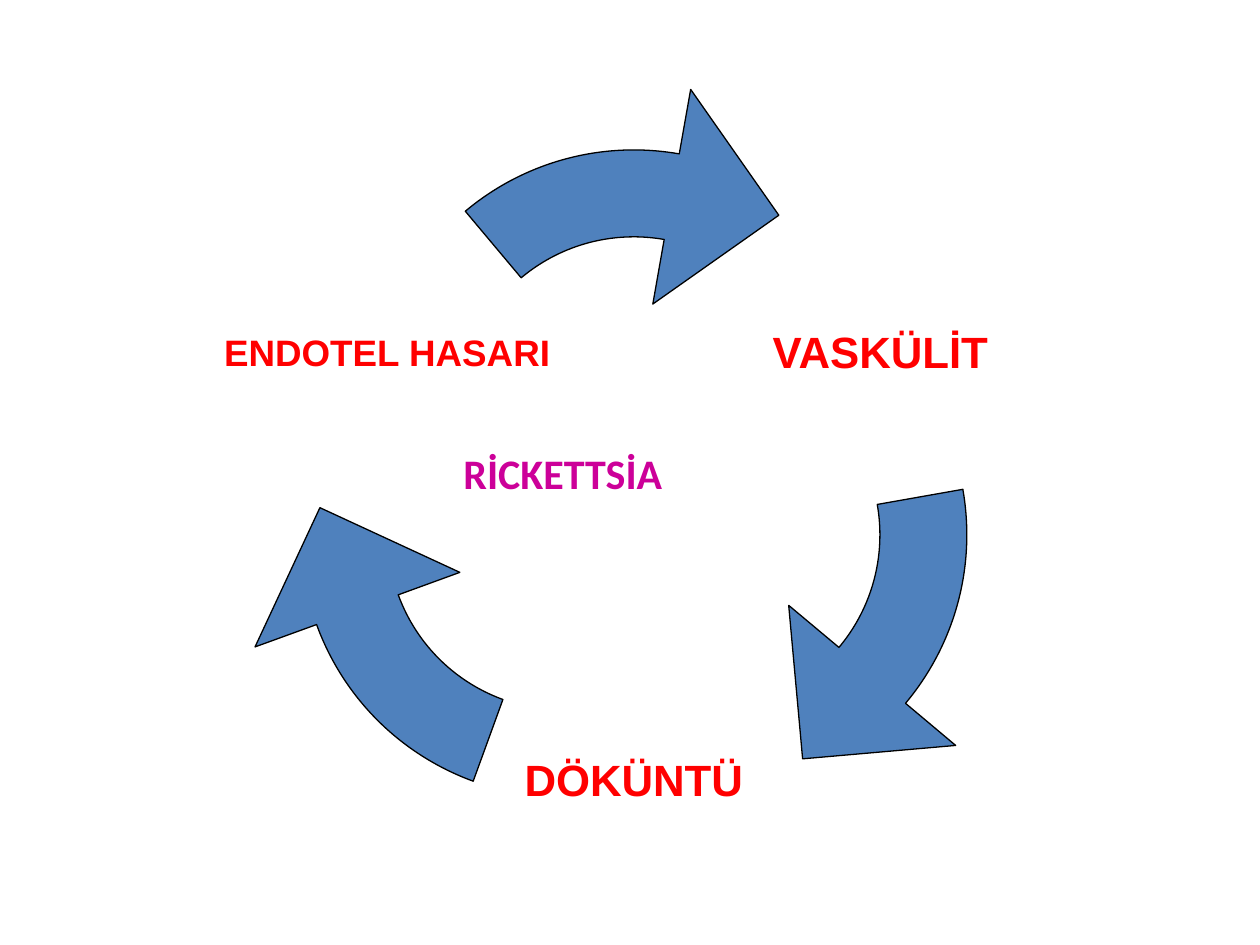
from dataclasses import dataclass
from math import cos, radians, sin

from lxml import etree
from pptx import Presentation
from pptx.dml.color import RGBColor
from pptx.enum.shapes import MSO_SHAPE
from pptx.enum.text import MSO_ANCHOR, PP_ALIGN
from pptx.oxml import parse_xml
from pptx.oxml.ns import nsdecls
from pptx.util import Inches, Pt

CYCLE_CENTER = (5.03, 3.92)
ARROW_OFFSET = 0.65      # from cycle centre to each arrow's arc centre
ARROW_SIZE = 4.15
LABEL_RADIUS = 2.26
LABEL_SIZE = 1.66
INNER, OUTER = 1.39, 2.08
BARB_INNER, BARB_OUTER = 0.87, 2.6
TIP_RADIUS, TIP_SWEEP = 1.94, 26.4
ARC_START, ARC_END = 230, 280

Point = tuple[float, float]


@dataclass
class Stage:
    text: str
    angle: float         # clockwise from the right
    size: float


STAGES = [
    Stage("VASKÜLİT", -30, 25),
    Stage("DÖKÜNTÜ", 90, 25),
    Stage("ENDOTEL HASARI", 210, 21),
]


def color(hex_value: str) -> RGBColor:
    return RGBColor.from_string(hex_value)


def polar(center: Point, radius: float, angle: float) -> Point:
    turn = radians(angle)
    return center[0] + radius * cos(turn), center[1] + radius * sin(turn)


def square_at(center: Point, size: float) -> dict[str, float]:
    return dict(left=center[0] - size / 2, top=center[1] - size / 2,
                width=size, height=size)


def step(tag: str, radius: float, angle: float) -> str:
    x, y = polar((ARROW_SIZE / 2, ARROW_SIZE / 2), radius, angle)
    return f'<a:{tag}><a:pt x="{Inches(x)}" y="{Inches(y)}"/></a:{tag}>'


def arc(radius: float, start: int, end: int) -> str:
    reach = Inches(radius)
    return (f'<a:arcTo wR="{reach}" hR="{reach}" stAng="{start * 60000}" '
            f'swAng="{(end - start) * 60000}"/>')


def arrow_geometry() -> etree._Element:
    """Outline of the curved arrow; preset shapes lack these proportions."""
    side = Inches(ARROW_SIZE)
    outline = "".join([
        step("moveTo", INNER, ARC_END),
        arc(INNER, ARC_END, ARC_START),
        step("lnTo", OUTER, ARC_START),
        arc(OUTER, ARC_START, ARC_END),
        step("lnTo", BARB_OUTER, ARC_END),
        step("lnTo", TIP_RADIUS, ARC_END + TIP_SWEEP),
        step("lnTo", BARB_INNER, ARC_END),
    ])
    return parse_xml(
        f'<a:custGeom {nsdecls("a")}><a:avLst/><a:gdLst/><a:ahLst/><a:cxnLst/>'
        '<a:rect l="0" t="0" r="r" b="b"/><a:pathLst>'
        f'<a:path w="{side}" h="{side}">{outline}<a:close/></a:path>'
        '</a:pathLst></a:custGeom>')


def add_box(slide, left: float, top: float, width: float, height: float):
    box = slide.shapes.add_shape(MSO_SHAPE.RECTANGLE, Inches(left), Inches(top),
                                 Inches(width), Inches(height))
    box.shadow.inherit = False
    return box


def add_arrow(slide, turn: float) -> None:
    """Draw the curved arrow, turned clockwise by the given degrees."""
    center = polar(CYCLE_CENTER, ARROW_OFFSET, turn - 90)
    arrow = add_box(slide, **square_at(center, ARROW_SIZE))
    preset = arrow.element.spPr.prstGeom
    arrow.element.spPr.replace(preset, arrow_geometry())
    arrow.rotation = turn
    arrow.fill.solid()
    arrow.fill.fore_color.rgb = color("4F81BD")
    arrow.line.color.rgb = color("000000")
    arrow.line.width = Pt(0.75)


def add_text(slide, text: str, *, left: float, top: float, width: float,
             height: float, size: float, font: str, fill: str,
             align=PP_ALIGN.LEFT, anchor=MSO_ANCHOR.TOP,
             wrap: bool = True, inset: Point = (0.1, 0.05)) -> None:
    box = add_box(slide, left, top, width, height)
    box.fill.background()
    box.line.fill.background()
    frame = box.text_frame
    frame.word_wrap = wrap
    frame.vertical_anchor = anchor
    frame.margin_left = frame.margin_right = Inches(inset[0])
    frame.margin_top = frame.margin_bottom = Inches(inset[1])
    paragraph = frame.paragraphs[0]
    paragraph.alignment = align
    run = paragraph.add_run()
    run.text = text
    run.font.name = font
    run.font.size = Pt(size)
    run.font.bold = True
    run.font.color.rgb = color(fill)


def add_stage(slide, stage: Stage) -> None:
    center = polar(CYCLE_CENTER, LABEL_RADIUS, stage.angle)
    add_text(slide, stage.text, **square_at(center, LABEL_SIZE),
             size=stage.size, font="Arial", fill="FF0000",
             align=PP_ALIGN.CENTER, anchor=MSO_ANCHOR.MIDDLE,
             wrap=False, inset=(0, 0))


def main() -> None:
    deck = Presentation()
    deck.slide_width, deck.slide_height = Inches(10), Inches(7.5)
    slide = deck.slides.add_slide(deck.slide_layouts[6])

    # Cycle arrows
    for turn in (0, 120, 240):
        add_arrow(slide, turn)

    # Stages between the arrows
    for stage in STAGES:
        add_stage(slide, stage)

    # Cause in the middle
    add_text(slide, "RİCKETTSİA", left=3.58, top=3.5, width=3, height=0.5,
             size=24, font="Calibri", fill="CC0099")

    deck.save("out.pptx")


if __name__ == "__main__":
    main()
